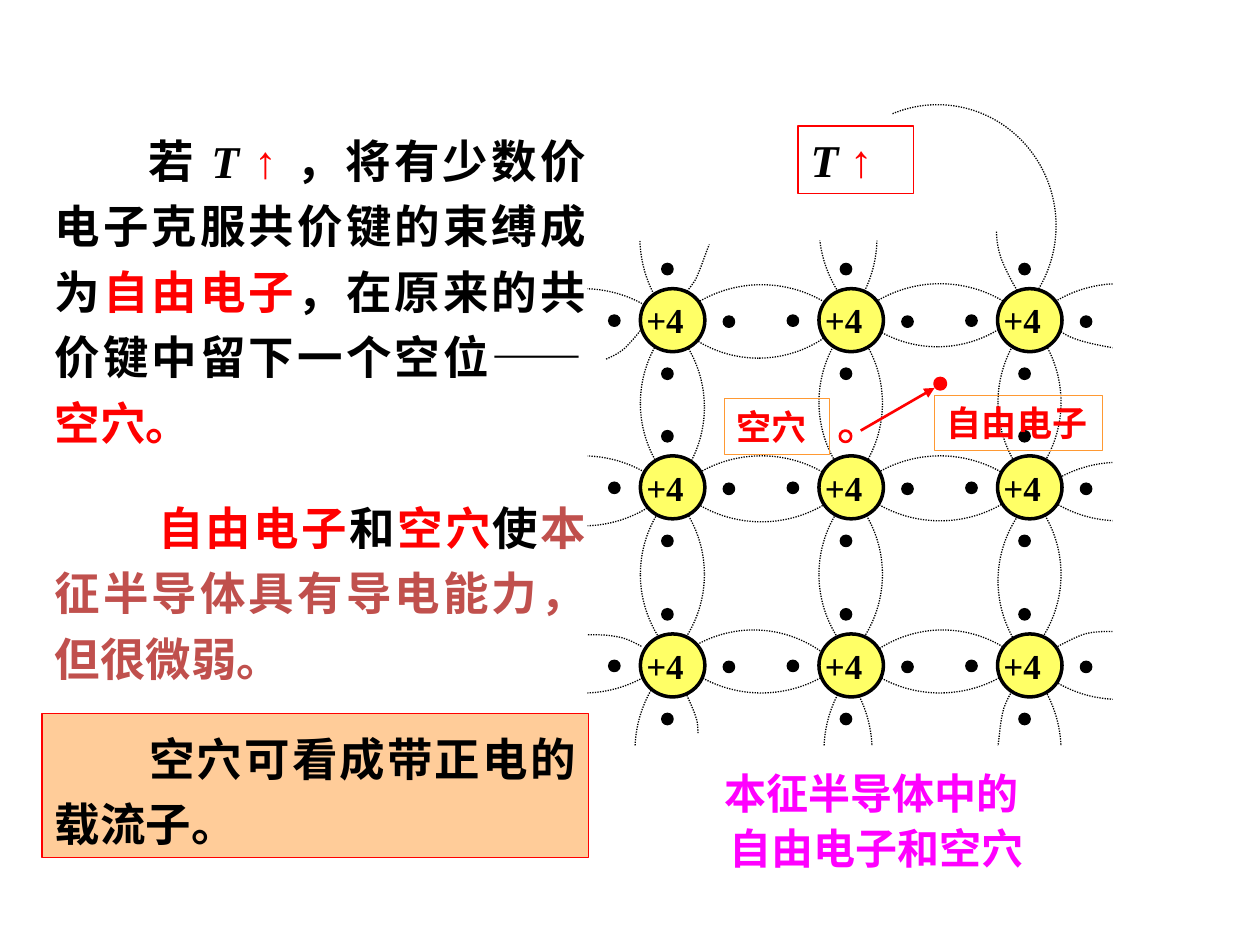
from dataclasses import dataclass
from itertools import product

from lxml.etree import SubElement
from pptx import Presentation
from pptx.dml.color import RGBColor
from pptx.enum.dml import MSO_LINE
from pptx.enum.shapes import MSO_CONNECTOR, MSO_SHAPE as Kind
from pptx.enum.text import MSO_ANCHOR, MSO_AUTO_SIZE, PP_ALIGN as Align
from pptx.oxml.ns import qn
from pptx.util import Cm, Pt


@dataclass(frozen=True)
class Theme:
    black: str = "000000"
    white: str = "FFFFFF"
    red: str = "FF0000"
    brick: str = "C0504D"
    pink: str = "FF00FF"
    orange: str = "FF9933"
    peach: str = "FFCC99"
    yellow: str = "FFFF66"
    font: str = "Times New Roman"
    sans: str = "Arial"
    body: int = 26
    head: int = 24
    label: int = 20


T = Theme()

COLS = [12.91 + 3.6 * i for i in range(3)]
ROWS = [5.82, 9.19, 12.78]
DOT = 0.23
TOP = (0.43, -0.51)
DOTS = [(-0.64, 0.53), (0.43, 1.6), (1.67, 0.55), TOP]

# Left, top and turn of each bond ring and of each mask over its outer half
RINGS = [
    (16.46, 2.16, 270), (12.85, 2.39, 270), (9.32, 9.19, 180), (9.32, 5.82, 180),
    (12.75, 12.75, 90), (16.56, 12.75, 90), (20.12, 5.72, 0), (20.12, 9.32, 0),
    (12.91, 5.74, 0), (16.51, 5.72, 0), (12.91, 9.19, 0), (16.51, 9.19, 0),
]
MASKS = [
    (13.97, 0.84, 270), (9.1, 8.89, 180), (9.1, 5.51, 180), (13.77, 13.77, 90),
    (17.58, 13.77, 90), (22.43, 5.51, 0), (22.43, 9.09, 0),
]
# Bond ends at the rim: a start point, then two cubic segments
ARCS = [
    [(12.93, 13.03), (12.78, 12.95), (12.6, 12.85), (12.4, 12.83),
     (12.17, 12.78), (11.73, 12.8), (11.61, 12.8)],
    [(21.18, 6.53), (21.31, 6.63), (21.46, 6.76), (21.67, 6.83),
     (21.87, 6.91), (22.3, 6.99), (22.43, 7.01)],
    [(12.22, 7.24), (12.4, 7.16), (12.55, 7.09), (12.7, 6.91),
     (12.85, 6.76), (13.11, 6.4), (13.18, 6.3)],
    [(13.64, 6.1), (13.77, 5.97), (13.89, 5.84), (14.02, 5.64),
     (14.12, 5.44), (14.25, 5.03), (14.3, 4.93)],
    [(20.52, 13.77), (20.42, 13.89), (20.32, 14.05), (20.24, 14.27),
     (20.17, 14.48), (20.14, 14.91), (20.12, 15.04)],
    [(22.43, 12.73), (22.25, 12.73), (22.07, 12.73), (21.87, 12.78),
     (21.64, 12.85), (21.29, 13.06), (21.16, 13.11)],
    [(14.07, 14.78), (14.07, 14.68), (14.07, 14.55), (14.02, 14.43),
     (13.97, 14.27), (13.84, 14.02), (13.82, 13.94)],
    [(20.09, 4.67), (20.09, 4.85), (20.12, 5.03), (20.19, 5.23),
     (20.27, 5.44), (20.47, 5.82), (20.55, 5.92)],
]


def rgb(code):
    return RGBColor.from_string(code)


def paint(shape, fill=None, line=None, width=0.75, dash=None):
    shape.shadow.inherit = False
    if fill:
        shape.fill.solid()
        shape.fill.fore_color.rgb = rgb(fill)
    else:
        shape.fill.background()
    if line:
        shape.line.color.rgb = rgb(line)
        shape.line.width = Pt(width)
        shape.line.dash_style = dash
    else:
        shape.line.fill.background()
    return shape


def draw(shapes, kind, x, y, w, h, turn=0, **look):
    shape = shapes.add_shape(kind, Cm(x), Cm(y), Cm(w), Cm(h))
    shape.rotation = turn
    return paint(shape, **look)


def arc(shapes, points):
    """Dotted open curve; each three straight steps become one cubic."""
    spots = [(Cm(x), Cm(y)) for x, y in points]
    pen = shapes.build_freeform(*spots[0], scale=1.0)
    pen.add_line_segments(spots[1:], close=False)
    shape = paint(pen.convert_to_shape(), line=T.black, dash=MSO_LINE.ROUND_DOT)
    steps = list(shape._element.iter(qn("a:lnTo")))
    track = steps[0].getparent()
    for i in range(0, len(steps), 3):
        curve = SubElement(track, qn("a:cubicBezTo"))
        for step in steps[i:i + 3]:
            curve.append(step[0])
            track.remove(step)


def arrow(shapes, start, end):
    x1, y1, x2, y2 = (Cm(v) for v in start + end)
    link = shapes.add_connector(MSO_CONNECTOR.STRAIGHT, x1, y1, x2, y2)
    link.line.color.rgb = rgb(T.red)
    link.line.width = Pt(1.5)
    SubElement(link.line._get_or_add_ln(), qn("a:tailEnd"), type="triangle")
    SubElement(link._element.spPr, qn("a:effectLst"))


def write(shapes, x, y, w, h, *paras, size=T.body, align=Align.LEFT,
          space=None, indents=(0,), **look):
    """Text box; each paragraph is a list of (text, colour, extra format) runs."""
    if look:
        box = draw(shapes, Kind.RECTANGLE, x, y, w, h, **look)
    else:
        box = shapes.add_textbox(Cm(x), Cm(y), Cm(w), Cm(h))
    frame = box.text_frame
    frame.word_wrap = True
    frame.auto_size = MSO_AUTO_SIZE.SHAPE_TO_FIT_TEXT
    frame.vertical_anchor = MSO_ANCHOR.TOP
    for i, runs in enumerate(paras):
        para = frame.add_paragraph() if i else frame.paragraphs[0]
        para.alignment = align
        para.line_spacing = space
        if indents[i]:
            para._p.get_or_add_pPr().set("indent", str(Cm(indents[i])))
        for text, color, *extra in runs:
            run = para.add_run()
            run.text = text
            run.font.size = Pt(size)
            run.font.bold = True
            run.font.italic = "italic" in extra
            run.font.name = T.sans if "sans" in extra else T.font
            run.font.color.rgb = rgb(color)


def atom(shapes, x, y, dots):
    draw(shapes, Kind.OVAL, x, y, 1.3, 1.27, fill=T.yellow, line=T.black, width=2)
    for dx, dy in dots:
        draw(shapes, Kind.OVAL, x + dx, y + dy, DOT, DOT, fill=T.black, line=T.black)
    write(shapes, x - 0.13, y + 0.08, 1.6, 1.12, [("+4", T.black)], size=T.label)


def lattice(shapes):
    for points in ARCS:
        arc(shapes, points)
    for x, y, turn in RINGS:
        draw(shapes, Kind.OVAL, x, y, 4.88, 4.78, turn, line=T.black,
             dash=MSO_LINE.ROUND_DOT)
    for x, y, turn in MASKS:
        draw(shapes, Kind.RECTANGLE, x, y, 2.74, 5.28, turn, fill=T.white)
    for (r, y), (c, x) in product(enumerate(ROWS), enumerate(COLS)):
        freed = r == c == 1
        atom(shapes, x, y, [d for d in DOTS if not (freed and d == TOP)])


def pair(shapes):
    """The hole, the freed electron and the path between them."""
    for x, y, fill in ((16.93, 8.68, T.white), (18.84, 7.62, T.red)):
        draw(shapes, Kind.OVAL, x, y, DOT, DOT, fill=fill, line=T.red, width=1.5)
    arrow(shapes, (17.35, 8.68), (18.84, 7.82))


def labels(shapes):
    write(shapes, 12.07, 15.24, 11, 2.49, [("本征半导体中的", T.pink)],
          [("自由电子和空穴", T.pink)], size=T.head, align=Align.CENTER,
          space=1.1, indents=(0, 0.21))
    pair(shapes.add_group_shape().shapes)
    for text, x, y, w in (("自由电子", 18.84, 7.97, 3.39), ("空穴", 14.6, 8.04, 2.12)):
        write(shapes, x, y, w, 1.12, [(text, T.red)], size=T.label, line=T.orange)
    write(shapes, 16.09, 2.54, 2.33, 1.36,
          [("T ", T.black, "italic"), ("↑", T.red, "sans")], line=T.red)


def notes(shapes):
    style = dict(align=Align.JUSTIFY, space=1.2)
    write(shapes, 0.85, 2.33, 11.22, 6.86, [
        ("若 ", T.black), ("T ", T.black, "italic"), ("↑ ", T.red, "sans"),
        ("，将有少数价电子克服共价键的束缚成为", T.black), ("自由电子", T.red),
        ("，在原来的共价键中留下一个空位——", T.black), ("空穴。", T.red),
    ], indents=(1.9,), **style)
    write(shapes, 0.85, 9.73, 11.22, 4.22, [
        ("自由电子", T.red), ("和", T.black), ("空穴", T.red), ("使", T.black),
        ("本征半导体具有导电能力，但很微弱。", T.brick),
    ], indents=(2.09,), **style)
    write(shapes, 0.85, 14.39, 11.01, 2.9, [("空穴可看成带正电的载流子。", T.black)],
          indents=(1.91,), fill=T.peach, line=T.red, **style)


def main():
    deck = Presentation()
    deck.slide_width, deck.slide_height = Cm(25.4), Cm(19.05)
    shapes = deck.slides.add_slide(deck.slide_layouts[6]).shapes
    lattice(shapes.add_group_shape().shapes)
    labels(shapes)
    notes(shapes)
    deck.save("out.pptx")


if __name__ == "__main__":
    main()
